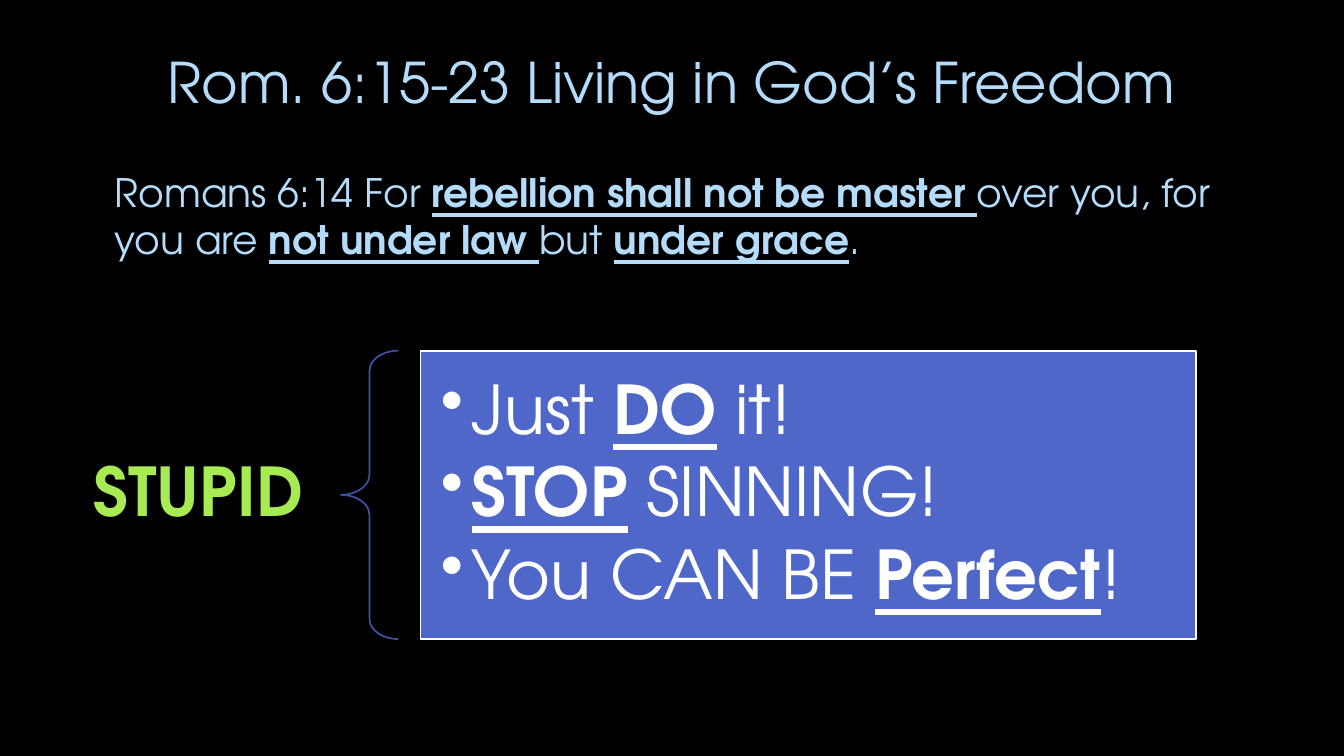
from lxml.etree import SubElement
from pptx import Presentation
from pptx.dml.color import RGBColor
from pptx.enum.shapes import MSO_SHAPE as Shape
from pptx.enum.text import MSO_ANCHOR as Anchor, MSO_AUTO_SIZE as AutoSize, PP_ALIGN as Align
from pptx.oxml.ns import qn
from pptx.util import Inches, Pt

FONT = "TeX Gyre Adventor"
BLACK = RGBColor(0x00, 0x00, 0x00)
WHITE = RGBColor(0xFF, 0xFF, 0xFF)
SKY = RGBColor(0xB4, 0xDC, 0xFA)
LIME = RGBColor(0xA7, 0xEA, 0x52)
BLUE = RGBColor(0x4E, 0x67, 0xC8)
NAVY = RGBColor(0x3E, 0x52, 0xA0)

TITLE = "Rom. 6:15-23 Living in God’s Freedom"
# Each run is its text and whether it is stressed.
VERSE = [
    ("Romans 6:14 For ", False), ("rebellion shall not be master ", True),
    ("over you, for you are ", False), ("not under law ", True),
    ("but ", False), ("under grace", True), (".", False),
]
SLOGANS = [
    [("Just ", False), ("DO", True), (" it!", False)],
    [("STOP", True), (" SINNING!", False)],
    [("You CAN BE ", False), ("Perfect", True), ("!", False)],
]
GROUP_TOP, GROUP_HEIGHT = 3.48, 2.86


def place(shape, left, top, width, height):
    shape.left, shape.top = Inches(left), Inches(top)
    shape.width, shape.height = Inches(width), Inches(height)


def set_frame(frame, anchor, horizontal=0.1, vertical=0.05):
    frame.word_wrap = True
    frame.auto_size = AutoSize.NONE
    frame.vertical_anchor = anchor
    frame.margin_left = frame.margin_right = Inches(horizontal)
    frame.margin_top = frame.margin_bottom = Inches(vertical)


def set_indent(paragraph, margin, indent, bullet=None):
    properties = paragraph._p.get_or_add_pPr()
    properties.set("marL", str(Inches(margin)))
    properties.set("indent", str(Inches(indent)))
    if bullet:
        SubElement(properties, qn("a:buChar"), char=bullet)
    else:
        SubElement(properties, qn("a:buNone"))


def add_runs(paragraph, runs, size, color, underline=True):
    """Add the runs, making the stressed ones bold and, if asked, underlined."""
    for text, stressed in runs:
        run = paragraph.add_run()
        run.text = text
        font = run.font
        font.name, font.size = FONT, Pt(size)
        font.color.rgb = color
        font.bold = stressed
        font.underline = stressed and underline


def space(paragraph, after, line=1.0):
    paragraph.space_before = Pt(0)
    paragraph.space_after = Pt(after)
    paragraph.line_spacing = line


def fill_title(title):
    place(title, 1, 0.27, 11.32, 1.06)
    set_frame(title.text_frame, Anchor.MIDDLE)
    paragraph = title.text_frame.paragraphs[0]
    paragraph.alignment = Align.CENTER
    add_runs(paragraph, [(TITLE, False)], 40, SKY)


def fill_verse(body):
    place(body, 1, 1.62, 11.32, 4.44)
    set_frame(body.text_frame, Anchor.TOP)
    paragraph = body.text_frame.paragraphs[0]
    set_indent(paragraph, 0.04, 0)
    space(paragraph, 6)
    add_runs(paragraph, VERSE, 28, SKY)


def add_label(slide):
    box = slide.shapes.add_textbox(Inches(0.55), Inches(4.39), Inches(2.83), Inches(1.04))
    set_frame(box.text_frame, Anchor.MIDDLE, 0.37, 0.13)
    paragraph = box.text_frame.paragraphs[0]
    paragraph.alignment = Align.RIGHT
    space(paragraph, 17, 0.9)
    add_runs(paragraph, [("STUPID", True)], 48, LIME, underline=False)


def add_outlined(slide, kind, left, width, line_color):
    """Add a preset shape that spans the height of the slogan group."""
    shape = slide.shapes.add_shape(
        kind, Inches(left), Inches(GROUP_TOP), Inches(width), Inches(GROUP_HEIGHT))
    shape.shadow.inherit = False
    shape.line.color.rgb = line_color
    shape.line.width = Pt(1.25)
    return shape


def add_brace(slide):
    brace = add_outlined(slide, Shape.LEFT_BRACE, 3.38, 0.57, NAVY)
    brace.fill.background()
    brace.adjustments[0] = 0.35
    brace.adjustments[1] = 0.5


def add_slogans(slide):
    panel = add_outlined(slide, Shape.RECTANGLE, 4.17, 7.69, WHITE)
    panel.fill.solid()
    panel.fill.fore_color.rgb = BLUE
    frame = panel.text_frame
    set_frame(frame, Anchor.MIDDLE, 0.2, 0.2)
    for index, runs in enumerate(SLOGANS):
        paragraph = frame.add_paragraph() if index else frame.paragraphs[0]
        set_indent(paragraph, 0.31, -0.31, "•")
        paragraph.alignment = Align.LEFT
        space(paragraph, 7, 0.9)
        add_runs(paragraph, runs, 48, WHITE)


def main():
    presentation = Presentation()
    presentation.slide_width, presentation.slide_height = Inches(13.33), Inches(7.5)
    slide = presentation.slides.add_slide(presentation.slide_layouts[1])
    slide.background.fill.solid()
    slide.background.fill.fore_color.rgb = BLACK
    fill_title(slide.shapes.title)
    fill_verse(slide.placeholders[1])
    add_label(slide)
    add_brace(slide)
    add_slogans(slide)
    presentation.save("out.pptx")


if __name__ == "__main__":
    main()
